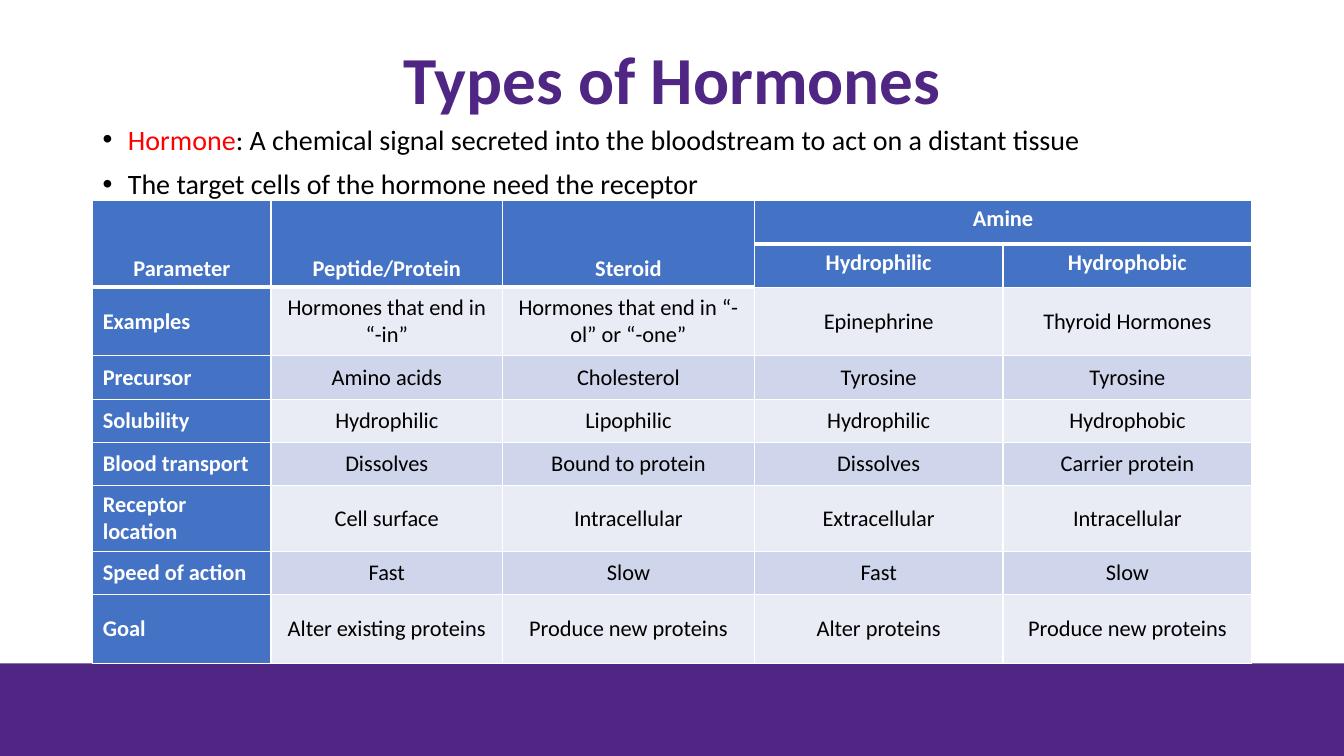
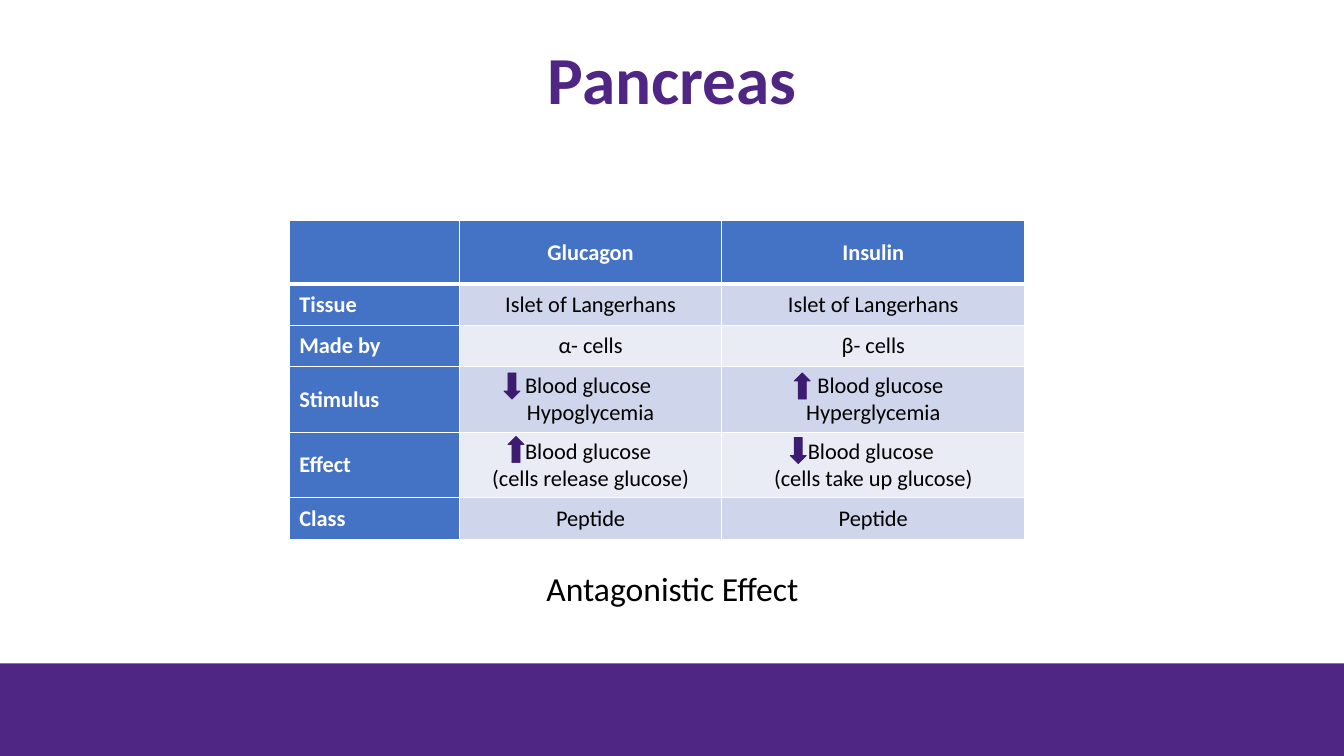
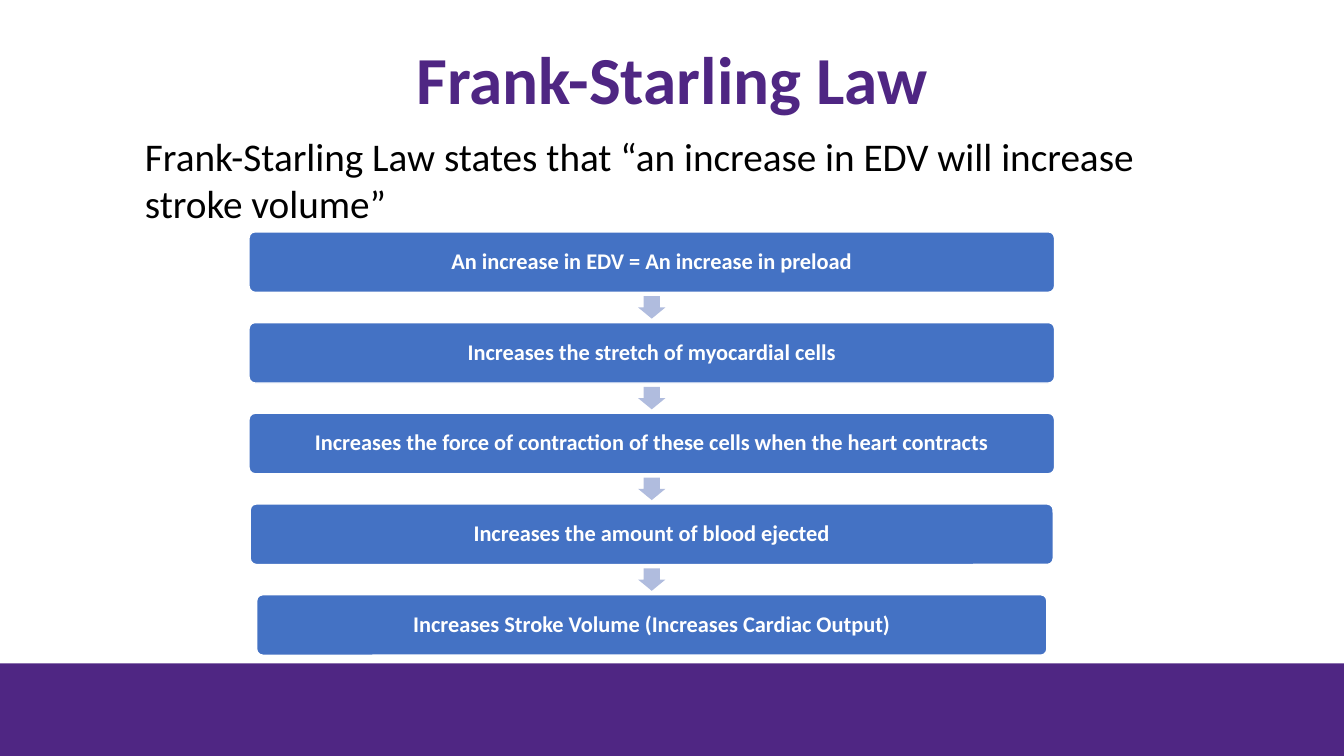
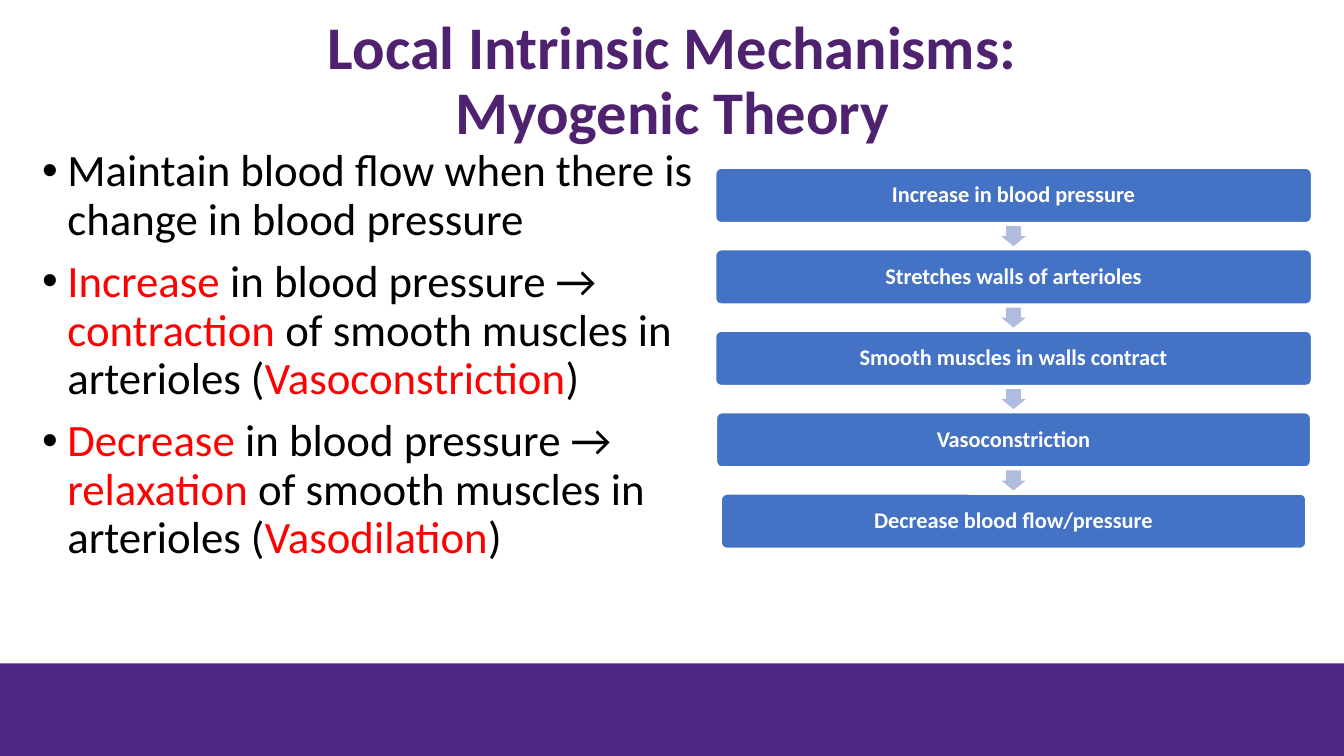
from lxml import etree
from pptx import Presentation
from pptx.dml.color import RGBColor
from pptx.enum.shapes import MSO_SHAPE
from pptx.enum.text import MSO_ANCHOR, MSO_AUTO_SIZE, PP_ALIGN
from pptx.oxml.ns import qn
from pptx.util import Inches, Pt

PURPLE = RGBColor(0x4F, 0x26, 0x83)
PLUM = RGBColor(0x4F, 0x22, 0x70)
ARROW_PURPLE = RGBColor(0x3C, 0x1B, 0x71)
BLUE = RGBColor(0x44, 0x72, 0xC4)
PALE_BLUE = RGBColor(0xB0, 0xBC, 0xDE)
ROW_EVEN = RGBColor(0xE9, 0xEB, 0xF5)
ROW_ODD = RGBColor(0xCF, 0xD5, 0xEA)
RED = RGBColor(0xFF, 0x00, 0x00)
BLACK = RGBColor(0x00, 0x00, 0x00)
WHITE = RGBColor(0xFF, 0xFF, 0xFF)

RECT = MSO_SHAPE.RECTANGLE
ROUND_RECT = MSO_SHAPE.ROUNDED_RECTANGLE
UP = MSO_SHAPE.UP_ARROW
DOWN = MSO_SHAPE.DOWN_ARROW
TOP, MIDDLE, BOTTOM = MSO_ANCHOR.TOP, MSO_ANCHOR.MIDDLE, MSO_ANCHOR.BOTTOM
LEFT, CENTER = PP_ALIGN.LEFT, PP_ALIGN.CENTER

FONT = "Calibri"
TITLE_ONLY = 5
WIDTH, HEIGHT = Inches(13.33), Inches(7.5)
BAR_SHARES = [1, 1, 1, 0.997, 0.981]


def area(x, y, w, h):
    """Turn percentages of the slide into lengths."""
    return (int(WIDTH * x / 100), int(HEIGHT * y / 100),
            int(WIDTH * w / 100), int(HEIGHT * h / 100))


def add_run(p, text, size, color, bold=False):
    r = p.add_run()
    r.text = text
    r.font.name = FONT
    r.font.size = Pt(size)
    r.font.bold = bold
    r.font.color.rgb = color


def add_shape(s, kind, box, fill, line=None, line_width=1):
    sp = s.shapes.add_shape(kind, *[int(v) for v in box])
    sp.shadow.inherit = False
    sp.fill.solid()
    sp.fill.fore_color.rgb = fill
    if line is None:
        sp.line.fill.background()
    else:
        sp.line.color.rgb = line
        sp.line.width = Pt(line_width)
    return sp


def add_text_box(s, box):
    tf = s.shapes.add_textbox(*box).text_frame
    tf.word_wrap = True
    return tf


def add_titled_slide(prs, lines, size=48, color=PURPLE):
    s = prs.slides.add_slide(prs.slide_layouts[TITLE_ONLY])
    title = s.shapes.title
    title.left, title.top, title.width, title.height = area(6.9, 2.93, 86.25, 16)
    tf = title.text_frame
    tf.auto_size = MSO_AUTO_SIZE.NONE
    tf.vertical_anchor = MIDDLE
    p = tf.paragraphs[0]
    p.alignment = CENTER
    p.line_spacing = 0.9
    for i, line in enumerate(lines):
        if i:
            p.add_line_break()
        add_run(p, line, size, color, True)
    add_shape(s, RECT, area(0, 87.73, 100, 12.27), PURPLE)
    return s


def add_bullets(s, box, items, size):
    tf = add_text_box(s, box)
    for i, item in enumerate(items):
        p = tf.paragraphs[0] if i == 0 else tf.add_paragraph()
        ppr = p._p.get_or_add_pPr()
        ppr.set("marL", str(Inches(0.25)))
        ppr.set("indent", str(-Inches(0.25)))
        color = etree.SubElement(ppr, qn("a:buClr"))
        etree.SubElement(color, qn("a:srgbClr")).set("val", str(BLACK))
        etree.SubElement(ppr, qn("a:buFont")).set("typeface", "Arial")
        etree.SubElement(ppr, qn("a:buChar")).set("char", "•")
        p.line_spacing = 0.9
        if i:
            p.space_before = Pt(10)
        for k, part in enumerate(item.split("*")):
            if part:
                add_run(p, part, size, RED if k % 2 else BLACK)


def add_plain_text(s, box, text, size, align):
    p = add_text_box(s, box).paragraphs[0]
    p.alignment = align
    add_run(p, text, size, BLACK)


def set_borders(cell, bottom):
    tcpr = cell._tc.get_or_add_tcPr()
    for side, width in (("L", 1), ("R", 1), ("T", 1), ("B", bottom)):
        ln = etree.SubElement(tcpr, qn("a:ln" + side), w=str(Pt(width)))
        fill = etree.SubElement(ln, qn("a:solidFill"))
        etree.SubElement(fill, qn("a:srgbClr")).set("val", str(WHITE))


def fill_cell(cell, text, is_header, is_label, band):
    cell.fill.solid()
    cell.fill.fore_color.rgb = BLUE if is_header or is_label else band
    cell.vertical_anchor = MIDDLE
    strong = is_header or is_label
    for i, line in enumerate(text.split("\n") if text else []):
        tf = cell.text_frame
        p = tf.paragraphs[0] if i == 0 else tf.add_paragraph()
        p.alignment = LEFT if is_label and not is_header else CENTER
        add_run(p, line, 16, WHITE if strong else BLACK, strong)


def add_grid_table(s, box, cols, rows, data, header_rows=1, merges=()):
    table = s.shapes.add_table(len(rows), len(cols), *box).table
    table.horz_banding = False
    for col, share in zip(table.columns, cols):
        col.width = int(box[2] * share / sum(cols))
    for row, share in zip(table.rows, rows):
        row.height = int(box[3] * share / sum(rows))
    for (r1, c1), (r2, c2) in merges:
        table.cell(r1, c1).merge(table.cell(r2, c2))
    for r, texts in enumerate(data):
        for c, text in enumerate(texts):
            cell = table.cell(r, c)
            set_borders(cell, 3 if r == 0 or cell.is_spanned else 1)
            fill_cell(cell, text, r < header_rows, c == 0,
                      ROW_ODD if r % 2 else ROW_EVEN)
    return table


def add_cell_arrow(s, table, box, r, c, kind, dx, dy):
    x = box[0] + sum(table.columns[i].width for i in range(c)) + Inches(dx)
    y = box[1] + sum(table.rows[i].height for i in range(r)) + Inches(dy)
    add_shape(s, kind, (x, y, Inches(0.16), Inches(0.26)),
              ARROW_PURPLE, ARROW_PURPLE, 0.5)


def add_flow(s, box, steps):
    left, top, width, height = box
    bar = height / (1.5 * len(steps) - 0.5)
    center = left + width / 2
    for i, (step, share) in enumerate(zip(steps, BAR_SHARES)):
        y = top + i * 1.5 * bar
        w = width * share
        sp = add_shape(s, ROUND_RECT, (center - w / 2, y, w, bar), BLUE, WHITE)
        sp.adjustments[0] = 0.1
        tf = sp.text_frame
        tf.word_wrap = True
        tf.vertical_anchor = MIDDLE
        tf.margin_left = tf.margin_right = Inches(0.07)
        tf.margin_top = tf.margin_bottom = Inches(0.07)
        p = tf.paragraphs[0]
        p.alignment = CENTER
        p.line_spacing = 0.9
        add_run(p, step, 16, WHITE, True)
        if i < len(steps) - 1:
            aw, ah = 0.45 * bar, 0.37 * bar
            arrow = add_shape(s, DOWN, (center - aw / 2, y + 1.25 * bar - ah / 2,
                                        aw, ah), PALE_BLUE)
            arrow.adjustments[0] = 0.6
            arrow.adjustments[1] = 0.5


def build_hormones(prs):
    s = add_titled_slide(prs, ["Types of Hormones"])
    add_bullets(s, area(6.9, 16, 86.25, 68.13), [
        "*Hormone*: A chemical signal secreted into the bloodstream to act on a distant tissue",
        "The target cells of the hormone need the receptor",
    ], 20)
    data = [
        ["Parameter", "Peptide/Protein", "Steroid", "Amine", ""],
        ["", "", "", "Hydrophilic", "Hydrophobic"],
        ["Examples", "Hormones that end in “-in”", "Hormones that end in “-ol” or “-one”",
         "Epinephrine", "Thyroid Hormones"],
        ["Precursor", "Amino acids", "Cholesterol", "Tyrosine", "Tyrosine"],
        ["Solubility", "Hydrophilic", "Lipophilic", "Hydrophilic", "Hydrophobic"],
        ["Blood transport", "Dissolves", "Bound to protein", "Dissolves", "Carrier protein"],
        ["Receptor location", "Cell surface", "Intracellular", "Extracellular", "Intracellular"],
        ["Speed of action", "Fast", "Slow", "Fast", "Slow"],
        ["Goal", "Alter existing proteins", "Produce new proteins", "Alter proteins",
         "Produce new proteins"],
    ]
    merges = [((0, c), (1, c)) for c in range(3)] + [((0, 3), (0, 4))]
    table = add_grid_table(s, area(6.9, 26.53, 86.25, 61.2),
                           [1.77, 2.3, 2.5, 2.47, 2.47],
                           [0.43, 0.43, 0.68, 0.43, 0.43, 0.43, 0.65, 0.43, 0.68],
                           data, 2, merges)
    for c in range(5):
        table.cell(0, c).vertical_anchor = BOTTOM if c < 3 else TOP
        table.cell(1, c).vertical_anchor = TOP


def build_pancreas(prs):
    s = add_titled_slide(prs, ["Pancreas"])
    data = [
        ["", "Glucagon", "Insulin"],
        ["Tissue", "Islet of Langerhans", "Islet of Langerhans"],
        ["Made by", "α- cells", "β- cells"],
        ["Stimulus", "Blood glucose \nHypoglycemia", "Blood glucose\nHyperglycemia"],
        ["Effect", "Blood glucose \n(cells release glucose)",
         "Blood glucose \n(cells take up glucose)"],
        ["Class", "Peptide", "Peptide"],
    ]
    box = area(21.52, 29.2, 54.75, 42.13)
    table = add_grid_table(s, box, [1.69, 2.6, 3.01],
                           [0.63, 0.41, 0.41, 0.65, 0.65, 0.41], data)
    shifted = table.cell(3, 2).text_frame.paragraphs[0]
    shifted._p.get_or_add_pPr().set("marL", str(Inches(0.14)))
    for r, c, kind, dx, dy in [(3, 1, DOWN, 0.44, 0.06), (3, 2, UP, 0.72, 0.06),
                               (4, 1, UP, 0.48, 0.04), (4, 2, DOWN, 0.68, 0.05)]:
        add_cell_arrow(s, table, box, r, c, kind, dx, dy)
    add_plain_text(s, area(33.83, 74.4, 32.4, 6.67), "Antagonistic Effect", 24, CENTER)


def build_frank_starling(prs):
    s = add_titled_slide(prs, ["Frank-Starling Law"])
    add_flow(s, area(18.53, 30.67, 59.93, 56), [
        "An increase in EDV = An increase in preload",
        "Increases the stretch of myocardial cells",
        "Increases the force of contraction of these cells when the heart contracts",
        "Increases the amount of blood ejected",
        "Increases Stroke Volume (Increases Cardiac Output)",
    ])
    add_plain_text(
        s, area(10.05, 16.8, 79.13, 13.87),
        "Frank-Starling Law states that “an increase in EDV will increase stroke volume”",
        28, LEFT)


def build_myogenic(prs):
    s = add_titled_slide(prs, ["Local Intrinsic Mechanisms:", "Myogenic Theory"], 43.2, PLUM)
    add_bullets(s, area(2.4, 18.93, 50.03, 65.47), [
        "Maintain blood flow when there is change in blood pressure",
        "*Increase* in blood pressure → *contraction* of smooth muscles in arterioles"
        " (*Vasoconstriction*)",
        "*Decrease* in blood pressure → *relaxation* of smooth muscles in arterioles"
        " (*Vasodilation*)",
    ], 32)
    add_flow(s, area(53.25, 22.27, 44.33, 50.27), [
        "Increase in blood pressure",
        "Stretches walls of arterioles",
        "Smooth muscles in walls contract",
        "Vasoconstriction",
        "Decrease blood flow/pressure",
    ])


def main():
    prs = Presentation()
    prs.slide_width, prs.slide_height = WIDTH, HEIGHT
    for build in (build_hormones, build_pancreas, build_frank_starling, build_myogenic):
        build(prs)
    prs.save("out.pptx")


if __name__ == "__main__":
    main()
